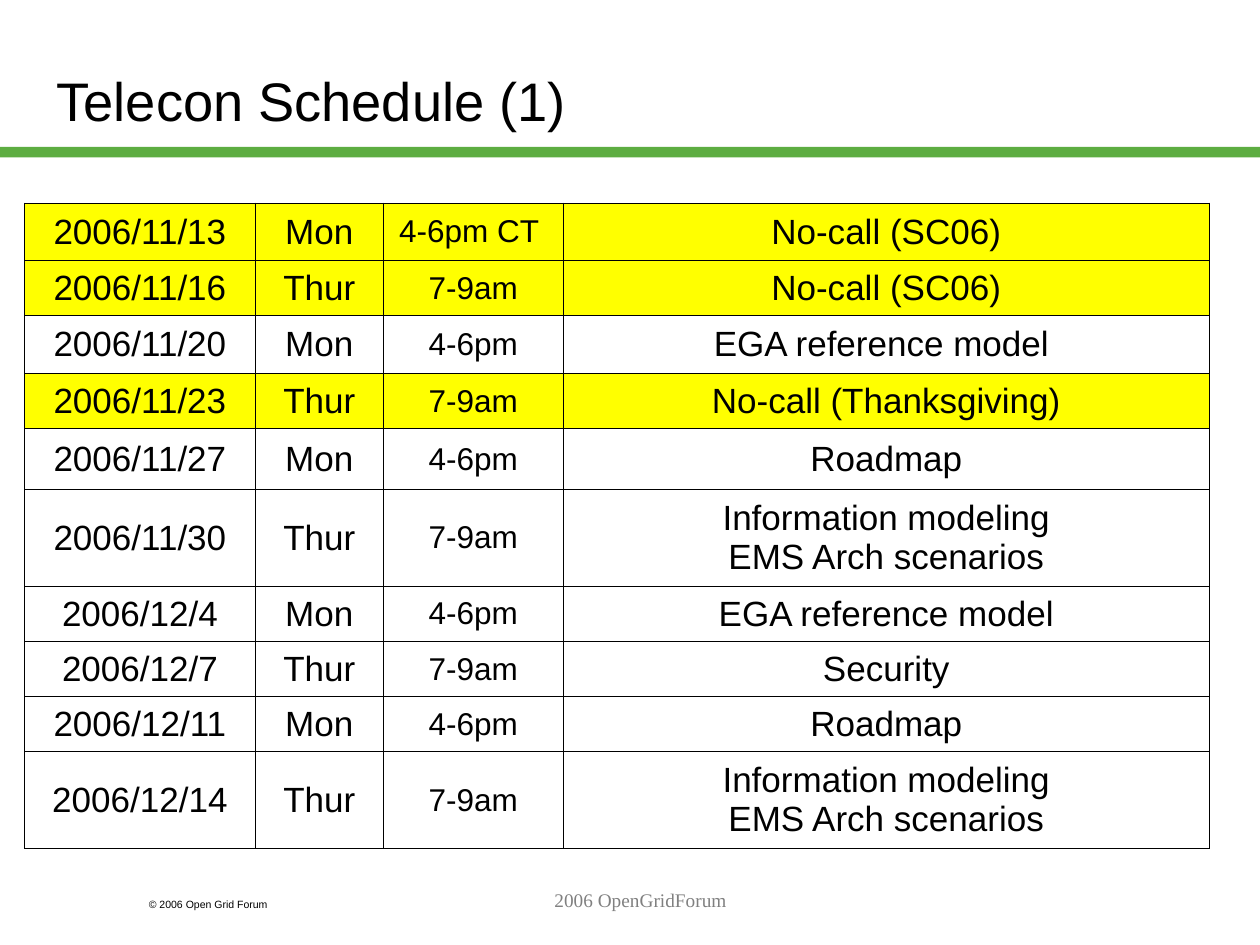
from dataclasses import dataclass

from lxml import etree
from pptx import Presentation
from pptx import util as u
from pptx.dml.color import RGBColor
from pptx.enum import shapes, text
from pptx.oxml import ns


@dataclass(frozen=True)
class Theme:
    ink: str = "000000"
    rule: str = "5DAD41"
    highlight: str = "FFFF00"
    muted: str = "808080"
    sans: str = "Arial"
    serif: str = "Times New Roman"
    title_size: float = 31
    cell_size: float = 20
    time_size: float = 18
    footer_size: float = 11
    copyright_size: float = 6
    border: float = 0.45


THEME = Theme()
COLUMN_WIDTHS = (132, 73, 103, 369)
TIME_COLUMN = 2
NO_CALL = "No-call"
MODELING = "Information modeling\nEMS Arch scenarios"
# Row height, then the four cells
SCHEDULE = (
    (33, "2006/11/13", "Mon", "4-6pm CT ", "No-call (SC06)"),
    (31.5, "2006/11/16", "Thur", "7-9am", "No-call (SC06)"),
    (33, "2006/11/20", "Mon", "4-6pm", "EGA reference model "),
    (31.5, "2006/11/23", "Thur", "7-9am", "No-call (Thanksgiving)"),
    (34.8, "2006/11/27", "Mon", "4-6pm", "Roadmap"),
    (55.4, "2006/11/30", "Thur", "7-9am", MODELING),
    (31.5, "2006/12/4", "Mon", "4-6pm", "EGA reference model"),
    (31.5, "2006/12/7", "Thur", "7-9am", "Security"),
    (31.5, "2006/12/11", "Mon", "4-6pm", "Roadmap"),
    (55.4, "2006/12/14", "Thur", "7-9am", MODELING),
)


def points(box):
    return [u.Pt(length) for length in box]


def write(frame, wording, size, color=THEME.ink, font=THEME.sans,
          align=text.PP_ALIGN.LEFT):
    frame.text = wording
    for para in frame.paragraphs:
        para.alignment = align
        for span in para.runs:
            for name, value in {"name": font, "size": u.Pt(size)}.items():
                setattr(span.font, name, value)
            span.font.color.rgb = RGBColor.from_string(color)


def add_title(page, box, wording):
    title = page.shapes.title
    for name, value in zip(("left", "top", "width", "height"), points(box)):
        setattr(title, name, value)
    frame = title.text_frame
    write(frame, wording, THEME.title_size)
    frame_format = {"vertical_anchor": text.MSO_ANCHOR.MIDDLE,
                    "auto_size": text.MSO_AUTO_SIZE.NONE, "word_wrap": True}
    for name, value in frame_format.items():
        setattr(frame, name, value)


def add_rule(page, box):
    rule = page.shapes.add_shape(shapes.MSO_SHAPE.RECTANGLE, *points(box))
    rule.shadow.inherit = False
    rule.fill.solid()
    rule.fill.fore_color.rgb = RGBColor.from_string(THEME.rule)
    rule.line.fill.background()


def add_label(page, box, wording, size, **style):
    frame = page.shapes.add_textbox(*points(box)).text_frame
    frame.word_wrap = True
    write(frame, wording, size, **style)


def add_borders(cell):
    properties = cell._tc.get_or_add_tcPr()
    for place, side in enumerate(("lnL", "lnR", "lnT", "lnB")):
        line = etree.Element(ns.qn(f"a:{side}"), w=str(int(u.Pt(THEME.border))))
        fill = etree.SubElement(line, ns.qn("a:solidFill"))
        etree.SubElement(fill, ns.qn("a:srgbClr"), val=THEME.ink)
        properties.insert(place, line)


def add_schedule(page, box):
    frame = page.shapes.add_table(len(SCHEDULE), len(COLUMN_WIDTHS), *points(box))
    table = frame.table
    table.first_row = table.horz_banding = False
    for column, width in zip(table.columns, COLUMN_WIDTHS):
        column.width = u.Pt(width)
    for row, (height, *wordings) in zip(table.rows, SCHEDULE):
        row.height = u.Pt(height)
        skipped = wordings[-1].startswith(NO_CALL)
        for index, (cell, wording) in enumerate(zip(row.cells, wordings)):
            size = THEME.time_size if index == TIME_COLUMN else THEME.cell_size
            write(cell.text_frame, wording, size, align=text.PP_ALIGN.CENTER)
            cell.vertical_anchor = text.MSO_ANCHOR.MIDDLE
            if skipped:
                cell.fill.solid()
                cell.fill.fore_color.rgb = RGBColor.from_string(THEME.highlight)
            else:
                cell.fill.background()
            add_borders(cell)


def main():
    deck = Presentation()
    deck.slide_width, deck.slide_height = u.Pt(720), u.Pt(540)
    page = deck.slides.add_slide(deck.slide_layouts[5])
    add_rule(page, (0, 84, 720, 6))
    add_label(page, (78, 509.8, 108, 14.4), "© 2006 Open Grid Forum",
              THEME.copyright_size)
    add_title(page, (25.2, 12.2, 640.8, 90), "Telecon Schedule (1)")
    add_schedule(page, (14, 116, sum(COLUMN_WIDTHS), sum(row[0] for row in SCHEDULE)))
    add_label(page, (156, 504, 420, 36), "2006 OpenGridForum", THEME.footer_size,
              color=THEME.muted, font=THEME.serif, align=text.PP_ALIGN.CENTER)
    deck.save("out.pptx")


if __name__ == "__main__":
    main()
